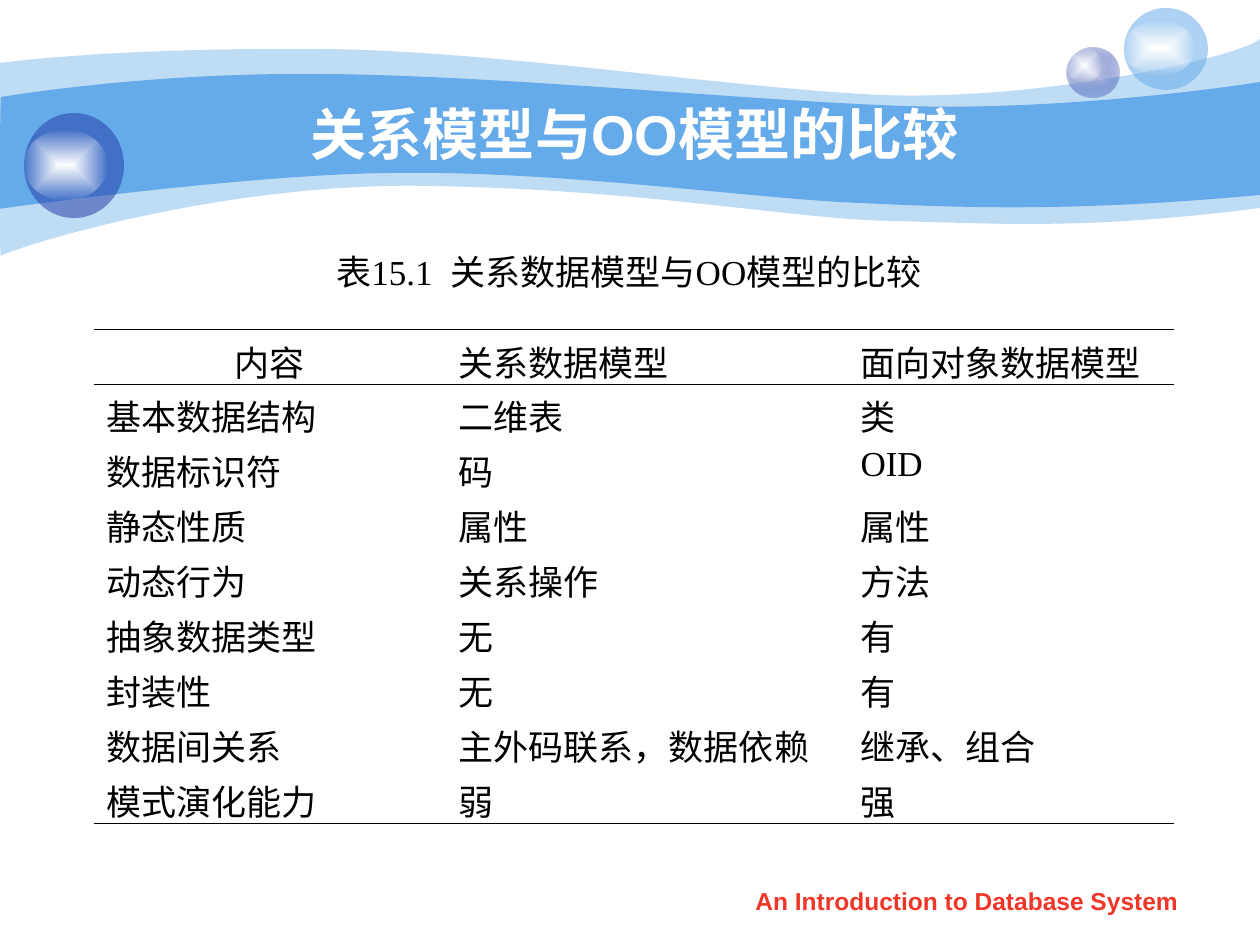
from itertools import chain
from lxml import etree
from pptx import Presentation
from pptx.dml.color import RGBColor
from pptx.enum.shapes import MSO_SHAPE
from pptx.enum.text import MSO_ANCHOR, MSO_AUTO_SIZE, PP_ALIGN
from pptx.oxml.ns import qn
from pptx.util import Emu, Pt

PX = 9144000 // 1260
OVAL = MSO_SHAPE.OVAL
CENTER, LEFT = PP_ALIGN.CENTER, PP_ALIGN.LEFT
MIDDLE = MSO_ANCHOR.MIDDLE
FIT_SHAPE, NO_FIT = MSO_AUTO_SIZE.SHAPE_TO_FIT_TEXT, MSO_AUTO_SIZE.NONE
NO_STYLE = "{2D5ABB26-0587-4C30-8999-92F81FD0307C}"
SANS, SERIF = "Arial", "Times New Roman"
SKY, NAVY, WHITE, BLACK, RED = "65AAE9", "233DA9", "FFFFFF", "000000", "F03628"

# Content
TITLE = "关系模型与OO模型的比较"
CAPTION = "表15.1  关系数据模型与OO模型的比较"
FOOTER = "An Introduction to Database System"
ROWS = [
    ("内容", "关系数据模型", "面向对象数据模型"),
    ("基本数据结构", "二维表", "类"),
    ("数据标识符", "码", "OID"),
    ("静态性质", "属性", "属性"),
    ("动态行为", "关系操作", "方法"),
    ("抽象数据类型", "无", "有"),
    ("封装性", "无", "有"),
    ("数据间关系", "主外码联系，数据依赖", "继承、组合"),
    ("模式演化能力", "弱", "强"),
]
COLUMN_WIDTHS = (352, 402, 326)
ROW_HEIGHT = 55

# Waves: opacity, start point, then curves (three points) and lines (one point)
WAVES = [
    (41, (0, 63), [
        [(30, 59), (135, 48), (311, 49)], [(486, 49), (725, 88), (881, 95)],
        [(1036, 101), (1235, 59), (1260, 39)], [(1260, 208)],
        [(1081, 231), (992, 223), (888, 221)], [(784, 218), (649, 190), (432, 186)],
        [(217, 181), (5, 251), (1, 256)], [(-1, 262), (0, 95), (0, 63)]]),
    (100, (1, 97), [
        [(3, 97), (139, 73), (312, 74)], [(486, 74), (750, 101), (905, 106)],
        [(1060, 111), (1230, 87), (1260, 82)], [(1260, 195)],
        [(1075, 212), (964, 208), (859, 203)], [(755, 199), (563, 171), (399, 173)],
        [(256, 173), (-3, 209), (-1, 209)], [(0, 209), (0, 97), (1, 97)]]),
]

# Bubbles: ball place, ball colour stops (colour, opacity), highlight place
GLOW = [(WHITE, 100), (WHITE, 0)]
BUBBLES = [
    ((1067, 48, 53, 50), [("C7CEE9", 100), (NAVY, 31)], (1067, 48, 35, 34)),
    ((1124, 8, 84, 82), [(SKY, 53)], (1124, 21, 71, 54)),
    ((24, 113, 100, 105), [(NAVY, 53)], (24, 130, 83, 70)),
]


def px(*values):
    return [Emu(value * PX) for value in values]


def color(hex_text):
    return RGBColor.from_string(hex_text)


def add_color(parent, hex_text, opacity=100):
    node = etree.SubElement(parent, qn("a:srgbClr"), val=hex_text)
    if opacity < 100:
        etree.SubElement(node, qn("a:alpha"), val=str(opacity * 1000))


def paint(shape, stops):
    """Fill with one colour, or with a gradient running out from the centre."""
    shape.shadow.inherit = False
    shape.line.fill.background()
    if len(stops) == 1:
        fill = etree.Element(qn("a:solidFill"))
        add_color(fill, *stops[0])
    else:
        fill = etree.Element(qn("a:gradFill"), rotWithShape="1")
        stop_list = etree.SubElement(fill, qn("a:gsLst"))
        for position, stop in zip((0, 100000), stops):
            add_color(etree.SubElement(stop_list, qn("a:gs"), pos=str(position)), *stop)
        route = etree.SubElement(fill, qn("a:path"), {"path": "rect"})
        etree.SubElement(route, qn("a:fillToRect"), dict.fromkeys("ltrb", "50000"))
    geometry = shape.element.spPr.find(qn("a:custGeom"))
    if geometry is None:
        geometry = shape.element.spPr.find(qn("a:prstGeom"))
    geometry.addnext(fill)


def add_wave(slide, opacity, start, segments):
    """Build the outline through every point, then join threes into curves."""
    builder = slide.shapes.build_freeform(*start, scale=PX)
    builder.add_line_segments(list(chain.from_iterable(segments)), close=True)
    wave = builder.convert_to_shape()
    lines = iter(list(wave.element.iter(qn("a:lnTo"))))
    for segment in segments:
        parts = [next(lines) for _ in segment]
        if len(parts) == 3:
            curve = etree.Element(qn("a:cubicBezTo"))
            parts[0].addprevious(curve)
            for part in parts:
                curve.append(part[0])
                part.getparent().remove(part)
    paint(wave, [(SKY, opacity)])


def write(frame, text, size, font, hex_text, align=CENTER, bold=False):
    para = frame.paragraphs[0]
    para.text = text
    para.alignment = align
    para.font.size = Pt(size)
    para.font.name = font
    para.font.bold = bold
    para.font.color.rgb = color(hex_text)


def rule_cell(cell, ruled):
    """Draw thin black rules on the named sides and clear the other ones."""
    properties = cell._tc.get_or_add_tcPr()
    for index, side in enumerate("LRTB"):
        line = etree.Element(qn("a:ln" + side), w="5715")
        if side in ruled:
            add_color(etree.SubElement(line, qn("a:solidFill")), BLACK)
        else:
            etree.SubElement(line, qn("a:noFill"))
        properties.insert(index, line)


def add_comparison(slide):
    height = ROW_HEIGHT * len(ROWS)
    frame = slide.shapes.add_table(len(ROWS), len(COLUMN_WIDTHS),
                                   *px(94, 329, sum(COLUMN_WIDTHS), height))
    table = frame.table
    table.first_row = table.horz_banding = False
    table._tbl.tblPr.find(qn("a:tableStyleId")).text = NO_STYLE
    for column, width in zip(table.columns, COLUMN_WIDTHS):
        column.width = Emu(width * PX)
    ruled_sides = {0: "TB", 1: "T", len(ROWS) - 1: "B"}
    for r, texts in enumerate(ROWS):
        table.rows[r].height = Emu(ROW_HEIGHT * PX)
        for c, text in enumerate(texts):
            cell = table.cell(r, c)
            cell.fill.background()
            write(cell.text_frame, text, 20, SERIF, BLACK,
                  CENTER if r == c == 0 else LEFT)
            rule_cell(cell, ruled_sides.get(r, ""))


def main():
    deck = Presentation()
    deck.slide_width, deck.slide_height = px(1260, 945)
    slide = deck.slides.add_slide(deck.slide_layouts[5])

    # Header decoration
    for wave in WAVES:
        add_wave(slide, *wave)
    for ball, stops, highlight in BUBBLES:
        group = slide.shapes.add_group_shape()
        for place, colors in ((ball, stops), (highlight, GLOW)):
            paint(group.shapes.add_shape(OVAL, *px(*place)), colors)

    # Footer
    footer = slide.shapes.add_textbox(*px(719, 880, 496, 44))
    footer.text_frame.word_wrap = True
    write(footer.text_frame, FOOTER, 14, SANS, RED, bold=True)

    # Title, raised above the waves
    title = slide.shapes.title
    title.left, title.top, title.width, title.height = px(126, 94, 1018, 78)
    title.text_frame.vertical_anchor = MIDDLE
    title.text_frame.auto_size = NO_FIT
    write(title.text_frame, TITLE, 32, SANS, WHITE, bold=True)
    slide.shapes._spTree.append(title.element)

    # Caption and table
    caption = slide.shapes.add_textbox(*px(307, 244, 644, 55))
    caption.text_frame.word_wrap = False
    caption.text_frame.auto_size = FIT_SHAPE
    caption.text_frame.vertical_anchor = MIDDLE
    write(caption.text_frame, CAPTION, 20, SERIF, BLACK)
    add_comparison(slide)

    deck.save("out.pptx")


if __name__ == "__main__":
    main()
